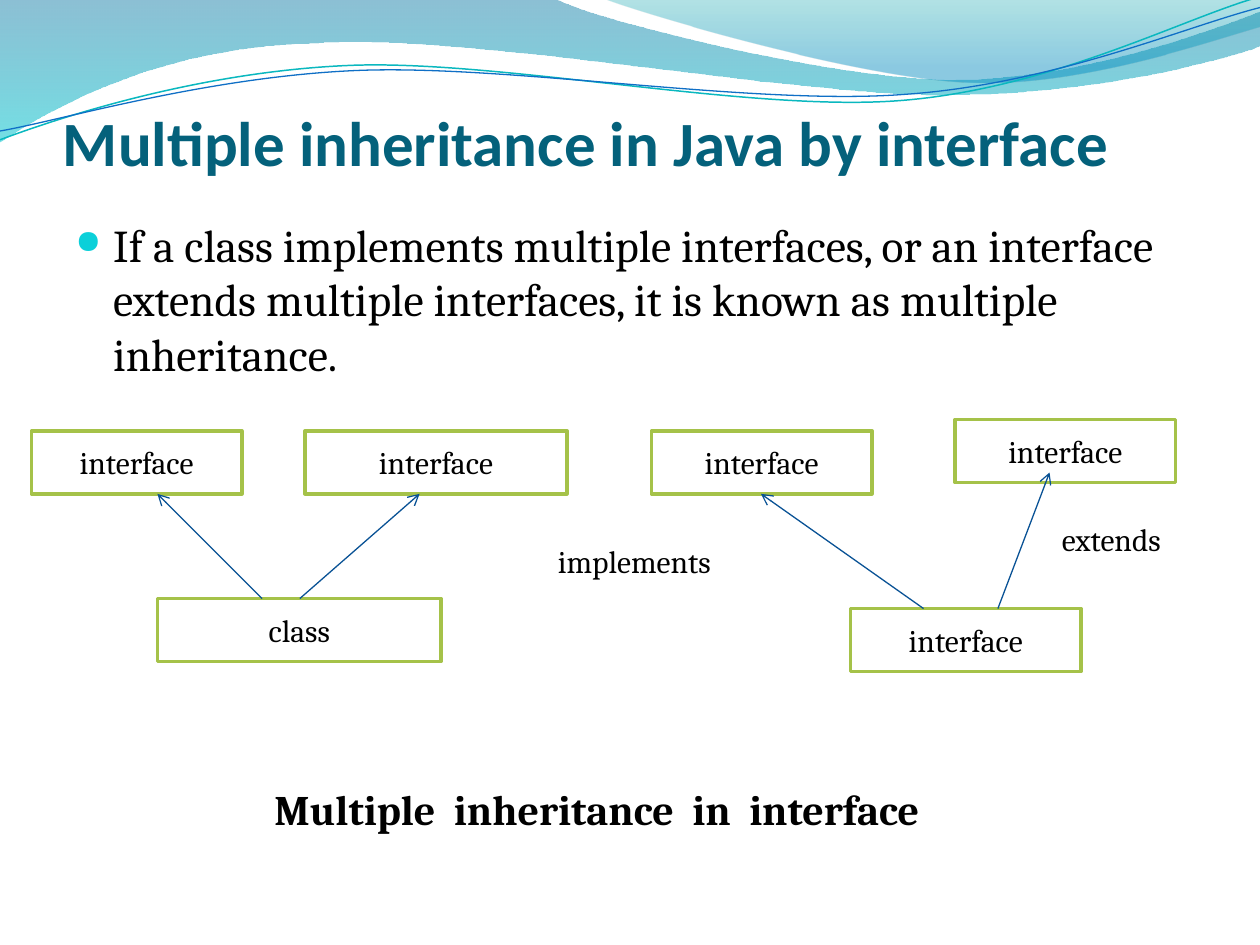
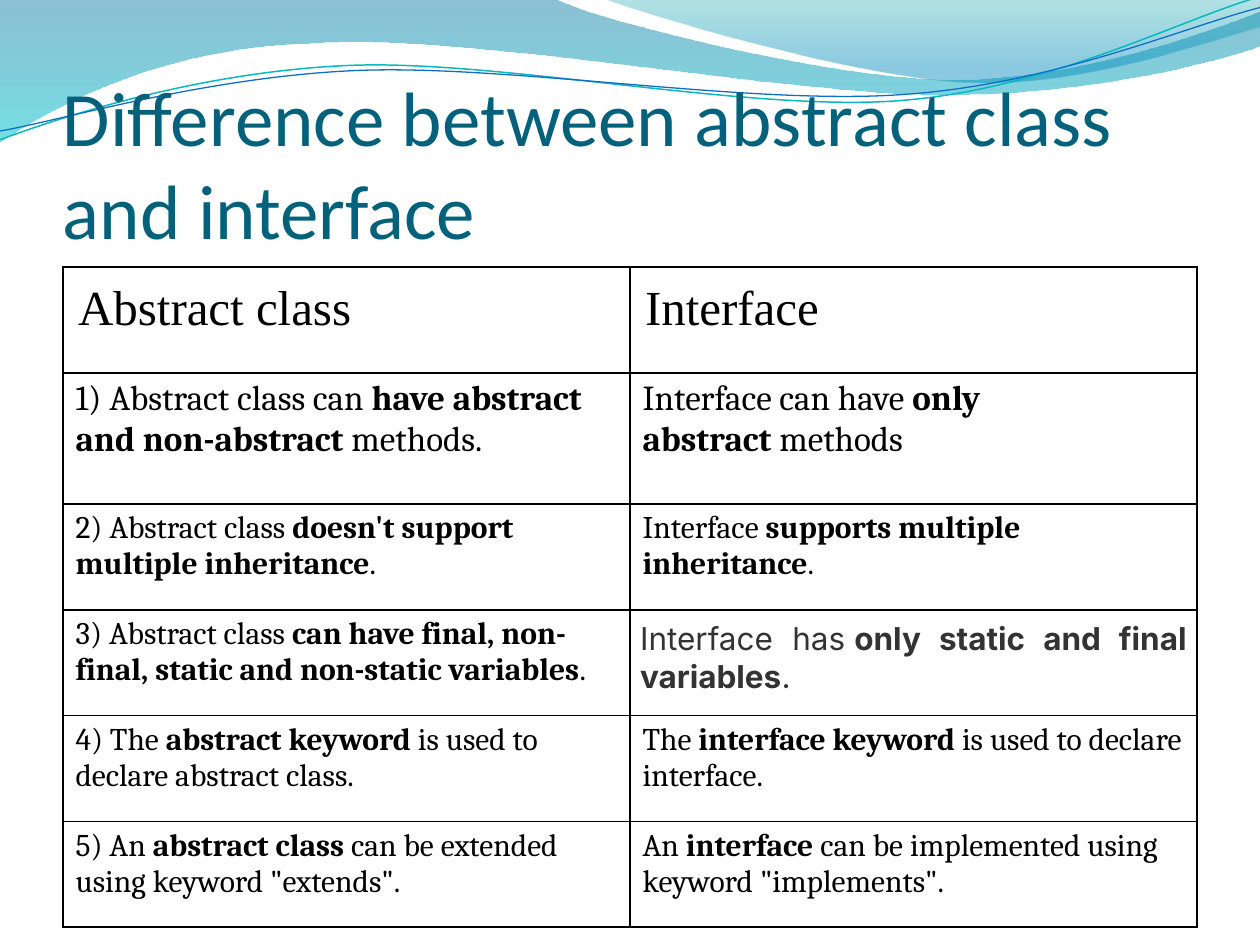
from lxml import etree
from pptx import Presentation
from pptx import util as u
from pptx.dml.color import RGBColor
from pptx.enum import shapes, text
from pptx.oxml import ns

TITLE_TEAL = RGBColor(0x04, 0x61, 0x7B)
BULLET_CYAN = RGBColor(0x0B, 0xD0, 0xD9)
BOX_GREEN = RGBColor(0xA5, 0xC2, 0x49)
ARROW_BLUE = RGBColor(0x09, 0x52, 0x95)
WAVE_TEAL = RGBColor(0x0A, 0xB8, 0xBF)
WAVE_BLUE = RGBColor(0x0F, 0x6F, 0xC6)
BAND_BLUE = RGBColor(0x00, 0x74, 0xA1)
BAND_CYAN = RGBColor(0x00, 0xC6, 0xCF)
CREST_TEAL = RGBColor(0x00, 0xA1, 0xA9)
CREST_BLUE = RGBColor(0x00, 0x8B, 0xBF)
BLACK = RGBColor(0, 0, 0)
GREY = RGBColor(0x33, 0x33, 0x33)
WHITE = RGBColor(0xFF, 0xFF, 0xFF)

HEAD_FONT = "Calibri"
BODY_FONT = "Cambria"
NBSP = chr(160)

BAND = [(0, 0), (4.4, -0.01),
        (4.76, 0.17, 6.64, 0.63, 7.58, 0.63), (8.53, 0.63, 9.58, 0.26, 10, 0.09),
        (10.01, 0.36),
        (9.83, 0.44, 8.7, 0.76, 7.46, 0.75), (6.22, 0.75, 3.82, 0.28, 2.57, 0.34),
        (1.29, 0.36, 0.46, 0.83, -0.01, 1.13)]
CREST = [(4.79, -0.01), (5.09, 0.11, 6.82, 0.62, 7.69, 0.65),
         (8.56, 0.69, 9.61, 0.32, 10, 0.21), (10, 0)]
UPPER_WAVE = [(0, 1.11), (0.48, 0.93, 1.58, 0.57, 2.77, 0.52),
              (3.95, 0.47, 5.93, 0.89, 7.13, 0.8), (8.33, 0.71, 9.38, 0.15, 9.98, -0.02)]
LOWER_WAVE = [(0, 1.04), (0.47, 0.96, 1.64, 0.61, 2.83, 0.56),
              (4.03, 0.51, 5.97, 0.84, 7.17, 0.75), (8.36, 0.67, 9.41, 0.21, 10, 0.06)]

BOXES = [("interface", 0.25, 3.42, 1.67), ("interface", 2.42, 3.42, 2.08),
         ("class", 1.25, 4.75, 2.25), ("interface", 5.17, 3.42, 1.75),
         ("interface", 7.58, 3.33, 1.75), ("interface", 6.75, 4.83, 1.83)]
ARROWS = [(7.92, 4.83, 8.33, 3.75), (7.33, 4.83, 6.04, 3.92),
          (2.38, 4.75, 3.33, 3.92), (2.08, 4.75, 1.25, 3.92)]

HEADINGS = ["Abstract class", "Interface"]
DIFFERENCES = [
    (("1) Abstract class can", "have abstract and non-abstract", "methods."),
     ("Interface can have", "only abstract", "methods")),
    (("2) Abstract class", "doesn't support multiple inheritance", "."),
     ("Interface", "supports multiple inheritance", ".")),
    (("3) Abstract class", "can have final, non-final, static and non-static variables", "."),
     ("Interface has", "only static and final variables", ".")),
    (("4) The", "abstract keyword", "is used to declare abstract class."),
     ("The", "interface keyword", "is used to declare interface.")),
    (("5) An", "abstract class", 'can be extended using keyword "extends".'),
     ("An", "interface", 'can be implemented using keyword "implements".')),
]


def sub(parent, tag, **attributes):
    return etree.SubElement(parent, ns.qn(tag), **attributes)


def style(run, size, color=BLACK, font=BODY_FONT, bold=False):
    run.font.size = u.Pt(size)
    run.font.name = font
    run.font.bold = bold
    run.font.color.rgb = color


def set_insets(holder, left, top, right, bottom):
    holder.margin_left, holder.margin_top = u.Inches(left), u.Inches(top)
    holder.margin_right, holder.margin_bottom = u.Inches(right), u.Inches(bottom)


def bend(outline, segments):
    strokes = list(outline.element.spPr.iter(ns.qn("a:lnTo")))
    for stroke, segment in zip(strokes, segments[1:]):
        if len(segment) == 2:
            continue
        curve = etree.Element(ns.qn("a:cubicBezTo"))
        for x, y in zip(segment[::2], segment[1::2]):
            sub(curve, "a:pt", x=str(u.Inches(x) - outline.left),
                y=str(u.Inches(y) - outline.top))
        stroke.getparent().replace(stroke, curve)


def add_outline(slide, segments, closed):
    anchors = [tuple(map(u.Inches, segment[-2:])) for segment in segments]
    builder = slide.shapes.build_freeform(*anchors[0])
    builder.add_line_segments(anchors[1:], close=closed)
    outline = builder.convert_to_shape()
    bend(outline, segments)
    outline.shadow.inherit = False
    outline.fill.background()
    return outline


def add_band(slide, segments, stops):
    band = add_outline(slide, segments, True)
    band.line.fill.background()
    no_fill = band.element.spPr.find(ns.qn("a:noFill"))
    gradient = etree.Element(ns.qn("a:gradFill"))
    stop_list = sub(gradient, "a:gsLst")
    for position, color, opacity in stops:
        stop = sub(stop_list, "a:gs", pos=str(position * 1000))
        tint = sub(stop, "a:srgbClr", val=str(color))
        sub(tint, "a:alpha", val=str(opacity * 1000))
    sub(gradient, "a:lin", ang="5400000", scaled="0")
    band.element.spPr.replace(no_fill, gradient)


def add_wave(slide, segments, color, width):
    wave = add_outline(slide, segments, False)
    wave.line.color.rgb = color
    wave.line.width = u.Pt(width)


def add_text(slide, content, at, size, **look):
    box = slide.shapes.add_textbox(*map(u.Inches, at))
    frame = box.text_frame
    frame.word_wrap = True
    frame.text = content
    style(frame.paragraphs[0].runs[0], size, **look)
    return frame


def start_slide(deck, title, at, size, bold=False, bottom=0):
    slide = deck.slides.add_slide(deck.slide_layouts[6])
    add_band(slide, BAND, [(0, BAND_BLUE, 45), (100, BAND_CYAN, 55)])
    add_band(slide, CREST, [(0, CREST_TEAL, 30), (80, CREST_BLUE, 45)])
    add_wave(slide, UPPER_WAVE, WAVE_TEAL, 0.85)
    add_wave(slide, LOWER_WAVE, WAVE_BLUE, 0.75)
    frame = add_text(slide, title, at, size, color=TITLE_TEAL, font=HEAD_FONT, bold=bold)
    frame.vertical_anchor = text.MSO_ANCHOR.BOTTOM
    set_insets(frame, 0, 0.05, 0, bottom)
    return slide


def add_bullet(slide, content, at):
    paragraph = add_text(slide, content, at, 26).paragraphs[0]
    paragraph.space_before = u.Pt(5)
    props = paragraph._p.get_or_add_pPr()
    props.set("marL", str(u.Inches(0.3)))
    props.set("indent", str(u.Inches(-0.3)))
    sub(sub(props, "a:buClr"), "a:srgbClr", val=str(BULLET_CYAN))
    sub(props, "a:buSzPct", val="72000")
    sub(props, "a:buChar", char="●")


def add_type_box(slide, label, left, top, width):
    box = slide.shapes.add_shape(shapes.MSO_SHAPE.RECTANGLE,
                                 *map(u.Inches, (left, top, width, 0.5)))
    box.shadow.inherit = False
    box.fill.solid()
    box.fill.fore_color.rgb = WHITE
    box.line.color.rgb = BOX_GREEN
    box.line.width = u.Pt(2)
    frame = box.text_frame
    frame.text = label
    frame.vertical_anchor = text.MSO_ANCHOR.MIDDLE
    frame.paragraphs[0].alignment = text.PP_ALIGN.CENTER
    style(frame.paragraphs[0].runs[0], 18)


def add_arrow(slide, ends):
    arrow = slide.shapes.add_connector(shapes.MSO_CONNECTOR.STRAIGHT, *map(u.Inches, ends))
    arrow.line.color.rgb = ARROW_BLUE
    arrow.line.width = u.Pt(0.75)
    sub(arrow.line._get_or_add_ln(), "a:tailEnd", type="arrow")
    sub(arrow.element.spPr, "a:effectLst")


def frame_cell(cell):
    cell.fill.background()
    props = cell._tc.get_or_add_tcPr()
    for index, side in enumerate("LRTB"):
        border = etree.Element(ns.qn("a:ln" + side), w=str(u.Pt(1)))
        sub(sub(border, "a:solidFill"), "a:srgbClr", val=str(BLACK))
        props.insert(index, border)


def fill_cell(cell, parts, size, **look):
    frame_cell(cell)
    paragraph = cell.text_frame.paragraphs[0]
    for index, part in enumerate(parts):
        run = paragraph.add_run()
        run.text = part
        style(run, size, bold=index == 1, **look)


def join_parts(lead, stressed, tail):
    return lead + NBSP, stressed, tail if tail == "." else NBSP + tail


def add_comparison(slide):
    table = slide.shapes.add_table(len(DIFFERENCES) + 1, 2,
                                   *map(u.Inches, (0.5, 2.12, 9, 5.24))).table
    table.first_row = table.horz_banding = False
    for index, row in enumerate(table.rows):
        row.height = u.Inches(1.04 if index == 1 else 0.84)
    for column, heading in enumerate(HEADINGS):
        cell = table.cell(0, column)
        fill_cell(cell, [heading], 28, font="Times New Roman")
        set_insets(cell, 0.12, 0.12, 0.12, 0.12)
    for row, pair in enumerate(DIFFERENCES, 1):
        for column, parts in enumerate(pair):
            cell = table.cell(row, column)
            look = {}
            if (row, column) == (3, 1):
                look = {"font": "Inter", "color": GREY}
                set_insets(cell, 0.08, 0.08, 0.08, 0.08)
                cell.text_frame.paragraphs[0].alignment = text.PP_ALIGN.JUSTIFY
            fill_cell(cell, join_parts(*parts), 20 if row == 1 else 18, **look)


def build_inheritance(deck):
    slide = start_slide(deck, "Multiple inheritance in Java by interface",
                        (0.5, 0.58, 9, 1.44), 36, bold=True, bottom=0.6)
    add_bullet(slide, "If a class implements multiple interfaces, or an interface extends "
                      "multiple interfaces, it is known as multiple inheritance.",
               (0.5, 1.67, 9, 5.25))
    for box in BOXES:
        add_type_box(slide, *box)
    for ends in ARROWS:
        add_arrow(slide, ends)
    add_text(slide, "extends", (8.33, 4.08, 1.33, 0.4), 18)
    add_text(slide, "implements", (4.33, 4.25, 1.67, 0.4), 18)
    add_text(slide, "Multiple  inheritance  in  interface", (2.08, 6.17, 6, 0.5), 24, bold=True)


def build_difference(deck):
    slide = start_slide(deck, "Difference between abstract class and interface",
                        (0.5, 0.77, 9, 1.25), 44)
    add_comparison(slide)


def main():
    deck = Presentation()
    deck.slide_width, deck.slide_height = u.Inches(10), u.Inches(7.5)
    build_inheritance(deck)
    build_difference(deck)
    deck.save("out.pptx")


if __name__ == "__main__":
    main()
